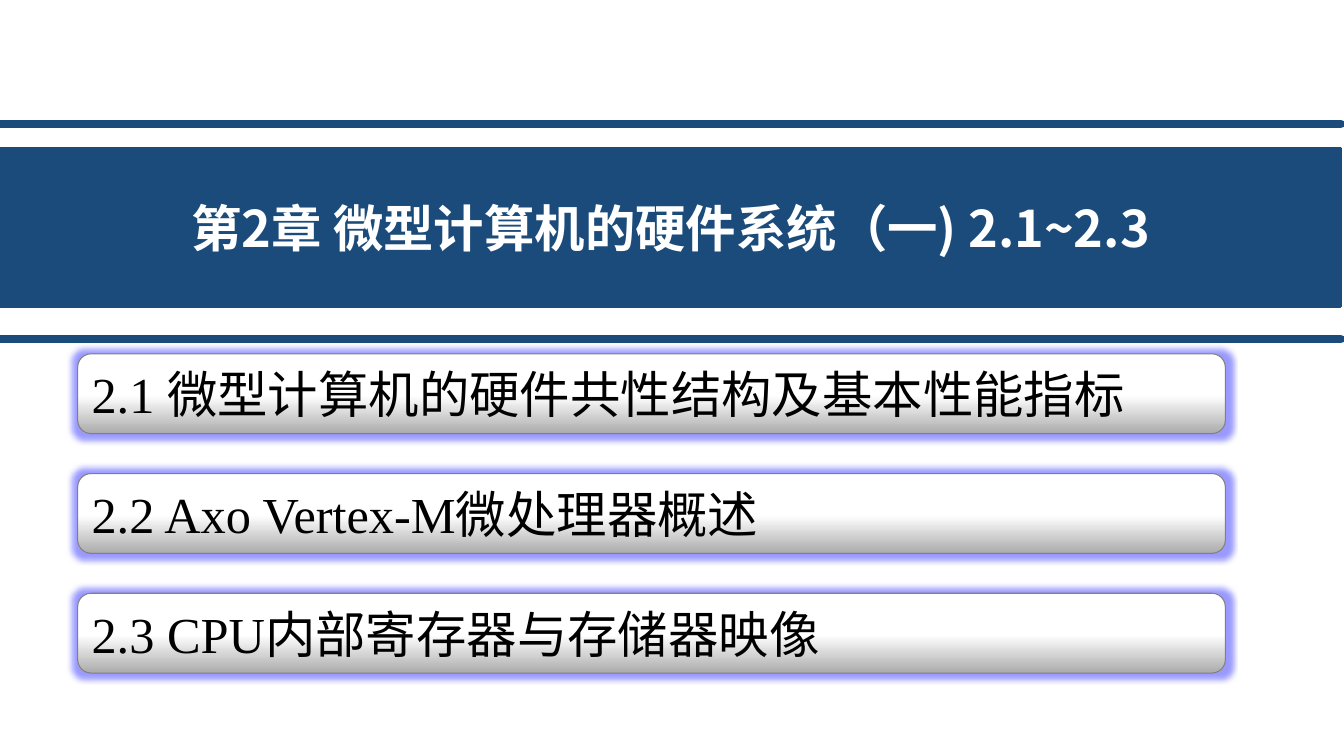
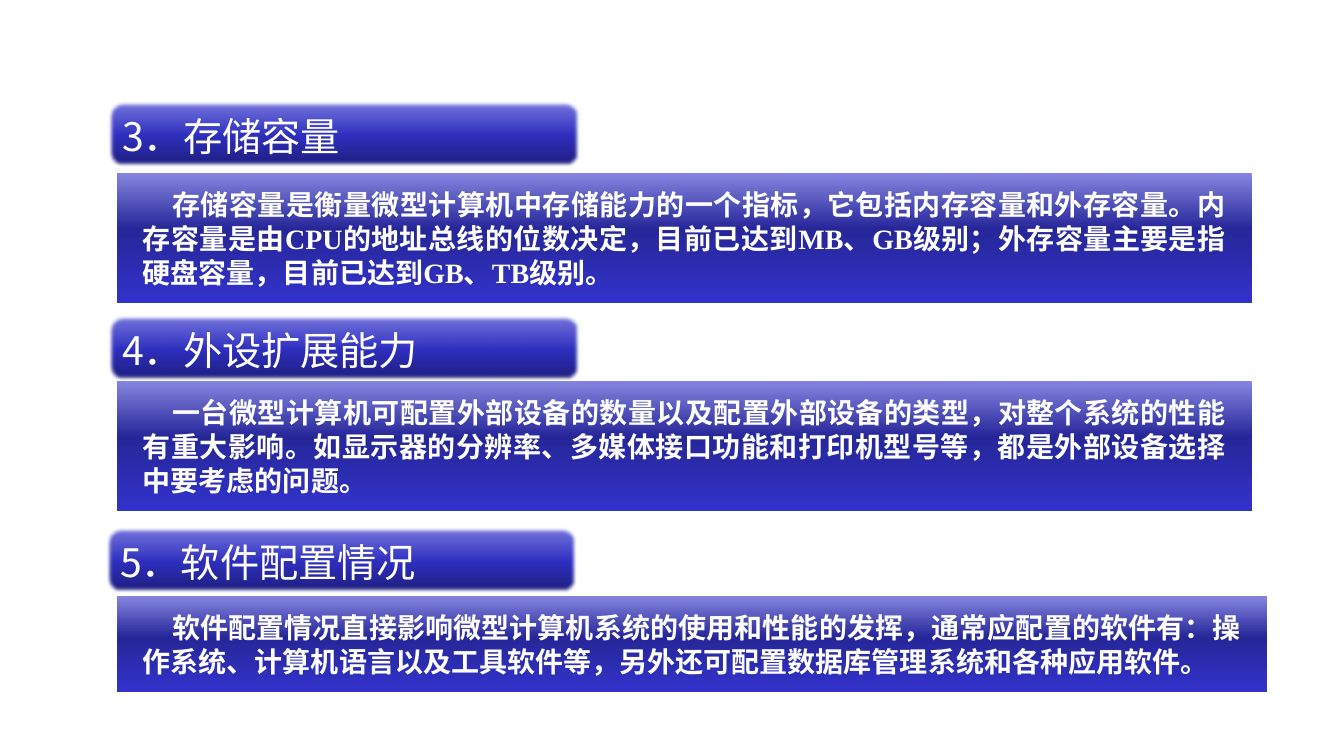
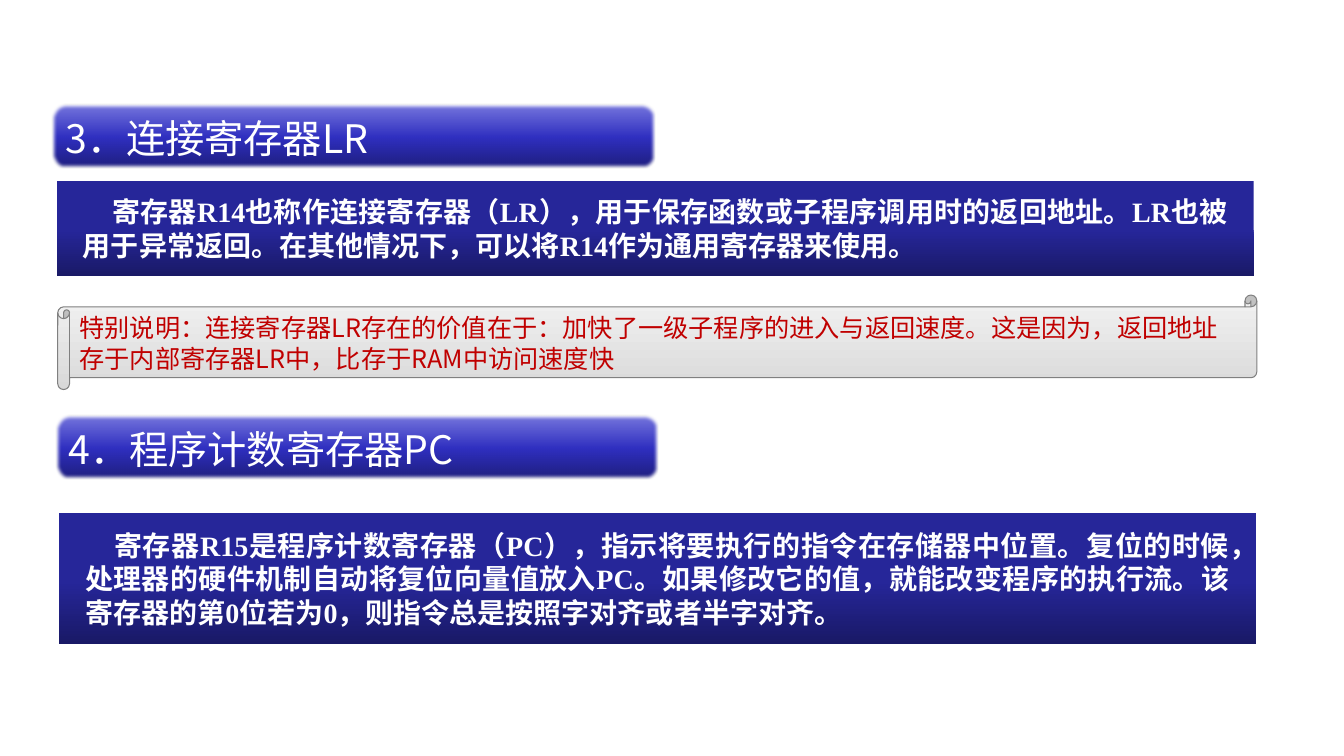
from lxml.etree import SubElement
from pptx import Presentation
from pptx.dml.color import RGBColor
from pptx.enum.shapes import MSO_CONNECTOR, MSO_SHAPE
from pptx.enum.text import MSO_ANCHOR, MSO_AUTO_SIZE, PP_ALIGN
from pptx.oxml.ns import qn
from pptx.util import Pt

EMU_PER_PX = 9525
SANS = "Noto Sans CJK SC"
SERIF = "Times New Roman"

BLACK = RGBColor(0x00, 0x00, 0x00)
WHITE = RGBColor(0xFF, 0xFF, 0xFF)
NAVY = RGBColor(0x1B, 0x4B, 0x7B)
GRAY = RGBColor(0x80, 0x80, 0x80)
RED = RGBColor(0xC0, 0x00, 0x00)
GLOW = RGBColor(0x80, 0x80, 0xFF)
LIGHT_GRAY = RGBColor(0xF2, 0xF2, 0xF2)
SILVER = RGBColor(0xD9, 0xD9, 0xD9)
STEEL = RGBColor(0xAB, 0xAB, 0xAB)
LAVENDER = RGBColor(0x78, 0x78, 0xDE)
BLUE = RGBColor(0x2F, 0x2F, 0xC0)
DARK_BLUE = RGBColor(0x1E, 0x1E, 0x7C)
PALE_INDIGO = RGBColor(0x85, 0x85, 0xE0)
INDIGO = RGBColor(0x26, 0x26, 0x99)
BRIGHT_INDIGO = RGBColor(0x33, 0x33, 0xCC)
DARK_INDIGO = RGBColor(0x19, 0x19, 0x66)

# Gradient stops run from top to bottom, in percent.
TOPIC_FILL = ((0, WHITE), (52, WHITE), (100, STEEL))
HEADING_FILL = ((0, LAVENDER), (52, BLUE), (100, DARK_BLUE))
BRIGHT_FILL = ((0, PALE_INDIGO), (43, INDIGO), (100, BRIGHT_INDIGO))
DARK_FILL = ((0, INDIGO), (52, INDIGO), (100, DARK_INDIGO))
NOTE_FILL = ((0, LIGHT_GRAY), (100, SILVER))


def px(length):
    return length * EMU_PER_PX


class Deck:
    def __init__(self):
        self.presentation = Presentation()
        self.presentation.slide_width = px(1280)
        self.presentation.slide_height = px(720)
        self.slide = None

    def add_slide(self, layout_index):
        layout = self.presentation.slide_layouts[layout_index]
        self.slide = self.presentation.slides.add_slide(layout)

    def title_slide(self, text):
        self.add_slide(5)
        title = self.slide.shapes.title
        title.left, title.top, title.width, title.height = map(px, (0, 141, 1277, 151))
        title.fill.solid()
        title.fill.fore_color.rgb = NAVY
        title.line.color.rgb = NAVY
        title.line.width = Pt(2)
        self.set_text(title, text, 36, SANS, WHITE, bold=True, align=PP_ALIGN.CENTER)

    def content_slide(self):
        self.add_slide(6)

    def set_text(self, shape, text, size, font_name, color, bold=False,
                 align=PP_ALIGN.LEFT, line_points=None):
        frame = shape.text_frame
        frame.word_wrap = True
        frame.auto_size = MSO_AUTO_SIZE.NONE
        frame.vertical_anchor = MSO_ANCHOR.MIDDLE
        frame.text = text
        paragraph = frame.paragraphs[0]
        paragraph.alignment = align
        if line_points:
            paragraph.line_spacing = Pt(line_points)
        font = paragraph.font
        font.size = Pt(size)
        font.bold = bold
        font.color.rgb = color
        font.name = font_name
        properties = paragraph._p.pPr.find(qn("a:defRPr"))
        SubElement(properties, qn("a:ea"), typeface=SANS)
        return paragraph

    def rule(self, y):
        line = self.slide.shapes.add_connector(
            MSO_CONNECTOR.STRAIGHT, 0, px(y), px(1277), px(y))
        line.line.color.rgb = NAVY
        line.line.width = Pt(6)
        properties = line._element.spPr
        properties.find(qn("a:ln")).set("cap", "rnd")
        SubElement(properties, qn("a:effectLst"))

    def panel(self, kind, box, stops, outlined=True):
        """Add a shape with a vertical gradient and an optional gray outline."""
        shape = self.slide.shapes.add_shape(kind, *map(px, box))
        shape.shadow.inherit = False
        shape.fill.gradient()
        shape.fill.gradient_angle = 270
        stop_list = shape._element.spPr.find(qn("a:gradFill")).find(qn("a:gsLst"))
        for old_stop in list(stop_list):
            stop_list.remove(old_stop)
        for percent, color in stops:
            stop = SubElement(stop_list, qn("a:gs"), pos=str(percent * 1000))
            SubElement(stop, qn("a:srgbClr"), val=str(color))
        if outlined:
            shape.line.color.rgb = GRAY
            shape.line.width = Pt(0.75)
        else:
            shape.line.fill.background()
        return shape

    def add_effect(self, shape, tag, points):
        effects = shape._element.spPr.find(qn("a:effectLst"))
        return SubElement(effects, qn(tag), rad=str(Pt(points)))

    def topic(self, top, text):
        shape = self.panel(MSO_SHAPE.ROUNDED_RECTANGLE, (74, top, 1093, 76), TOPIC_FILL)
        glow = self.add_effect(shape, "a:glow", 8)
        color = SubElement(glow, qn("a:srgbClr"), val=str(GLOW))
        SubElement(color, qn("a:alpha"), val="80000")
        self.set_text(shape, text, 36, SERIF, BLACK)

    def heading(self, left, top, width, text):
        shape = self.panel(
            MSO_SHAPE.ROUNDED_RECTANGLE, (left, top, width, 61), HEADING_FILL)
        self.add_effect(shape, "a:softEdge", 2.5)
        self.set_text(shape, text, 28, SANS, WHITE, line_points=36)

    def body(self, box, stops, text):
        shape = self.panel(MSO_SHAPE.RECTANGLE, box, stops, outlined=False)
        frame = shape.text_frame
        frame.margin_left = frame.margin_right = px(25)
        frame.margin_top = frame.margin_bottom = px(13)
        paragraph = self.set_text(shape, text, 20, SERIF, WHITE, bold=True,
                                  align=PP_ALIGN.JUSTIFY, line_points=24)
        paragraph._p.pPr.set("indent", str(px(28)))

    def note(self, box, text):
        shape = self.panel(MSO_SHAPE.HORIZONTAL_SCROLL, box, NOTE_FILL)
        self.set_text(shape, text, 18, SANS, RED, line_points=22)


def chapter_slide(deck):
    deck.title_slide("第2章 微型计算机的硬件系统（一) 2.1~2.3")
    for y in (323, 118):
        deck.rule(y)
    topics = (
        "2.1 微型计算机的硬件共性结构及基本性能指标",
        "2.2 Axo Vertex-M微处理器概述",
        "2.3 CPU内部寄存器与存储器映像",
    )
    for index, text in enumerate(topics):
        deck.topic(337 + 114 * index, text)


def performance_slide(deck):
    deck.content_slide()
    sections = (
        (104, 97, "3．存储容量", (111, 165, 1081, 124),
         "存储容量是衡量微型计算机中存储能力的一个指标，它包括内存容量和外存容量。"
         "内存容量是由CPU的地址总线的位数决定，目前已达到MB、GB级别；"
         "外存容量主要是指硬盘容量，目前已达到GB、TB级别。"),
        (104, 301, "4．外设扩展能力", (111, 363, 1081, 124),
         "一台微型计算机可配置外部设备的数量以及配置外部设备的类型，"
         "对整个系统的性能有重大影响。如显示器的分辨率、多媒体接口功能和打印机型号等，"
         "都是外部设备选择中要考虑的问题。"),
        (102, 503, "5．软件配置情况", (111, 568, 1096, 91),
         "软件配置情况直接影响微型计算机系统的使用和性能的发挥，通常应配置的软件有："
         "操作系统、计算机语言以及工具软件等，另外还可配置数据库管理系统和各种应用软件。"),
    )
    for left, top, heading, box, text in sections:
        deck.heading(left, top, 447, heading)
        deck.body(box, BRIGHT_FILL, text)


def register_slide(deck):
    deck.content_slide()
    deck.heading(50, 99, 574, "3．连接寄存器LR")
    deck.body((54, 172, 1140, 91), DARK_FILL,
              "寄存器R14也称作连接寄存器（LR），用于保存函数或子程序调用时的返回地址。"
              "LR也被用于异常返回。在其他情况下，可以将R14作为通用寄存器来使用。")
    deck.note((55, 281, 1142, 90),
              "特别说明：连接寄存器LR存在的价值在于：加快了一级子程序的进入与返回速度。"
              "这是因为，返回地址存于内部寄存器LR中，比存于RAM中访问速度快")
    deck.heading(53, 395, 574, "4．程序计数寄存器PC")
    deck.body((56, 489, 1140, 124), DARK_FILL,
              "寄存器R15是程序计数寄存器（PC），指示将要执行的指令在存储器中位置。"
              "复位的时候，处理器的硬件机制自动将复位向量值放入PC。"
              "如果修改它的值，就能改变程序的执行流。"
              "该寄存器的第0位若为0，则指令总是按照字对齐或者半字对齐。")


def main():
    deck = Deck()
    chapter_slide(deck)
    performance_slide(deck)
    register_slide(deck)
    deck.presentation.save("out.pptx")


if __name__ == "__main__":
    main()
